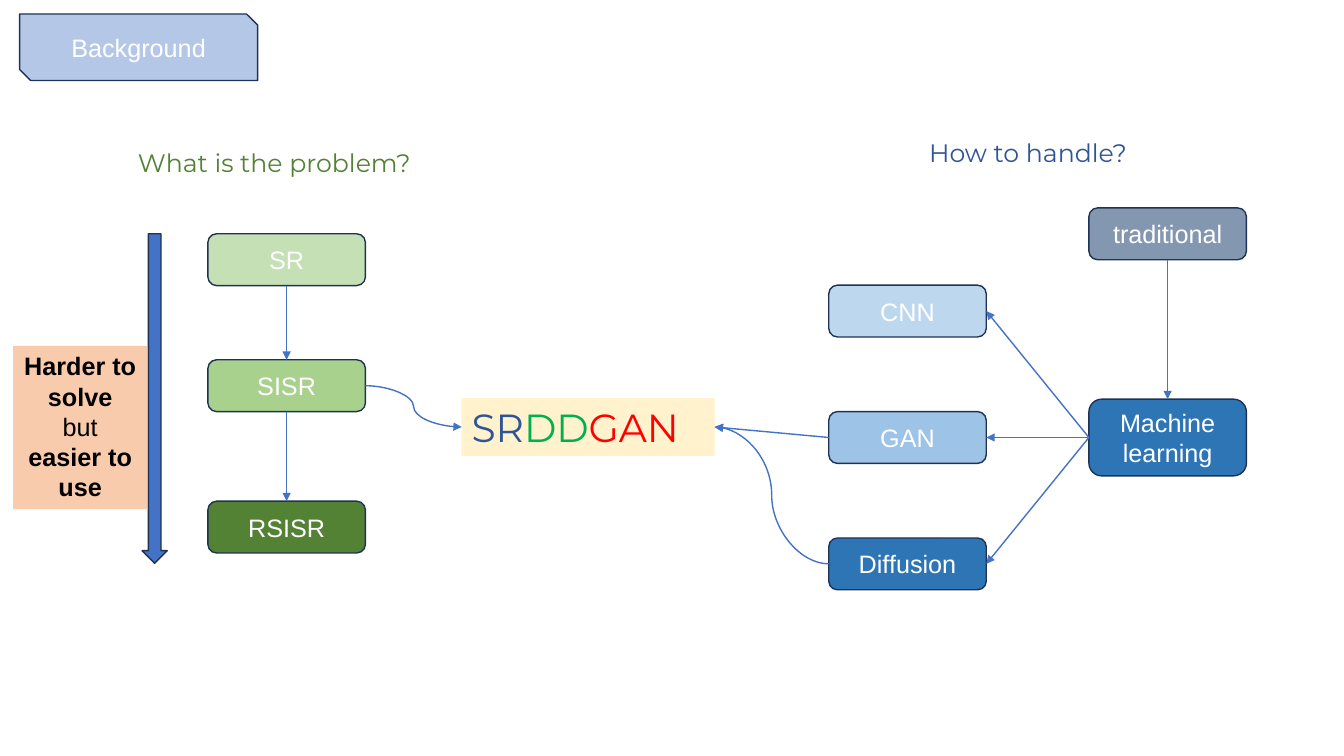
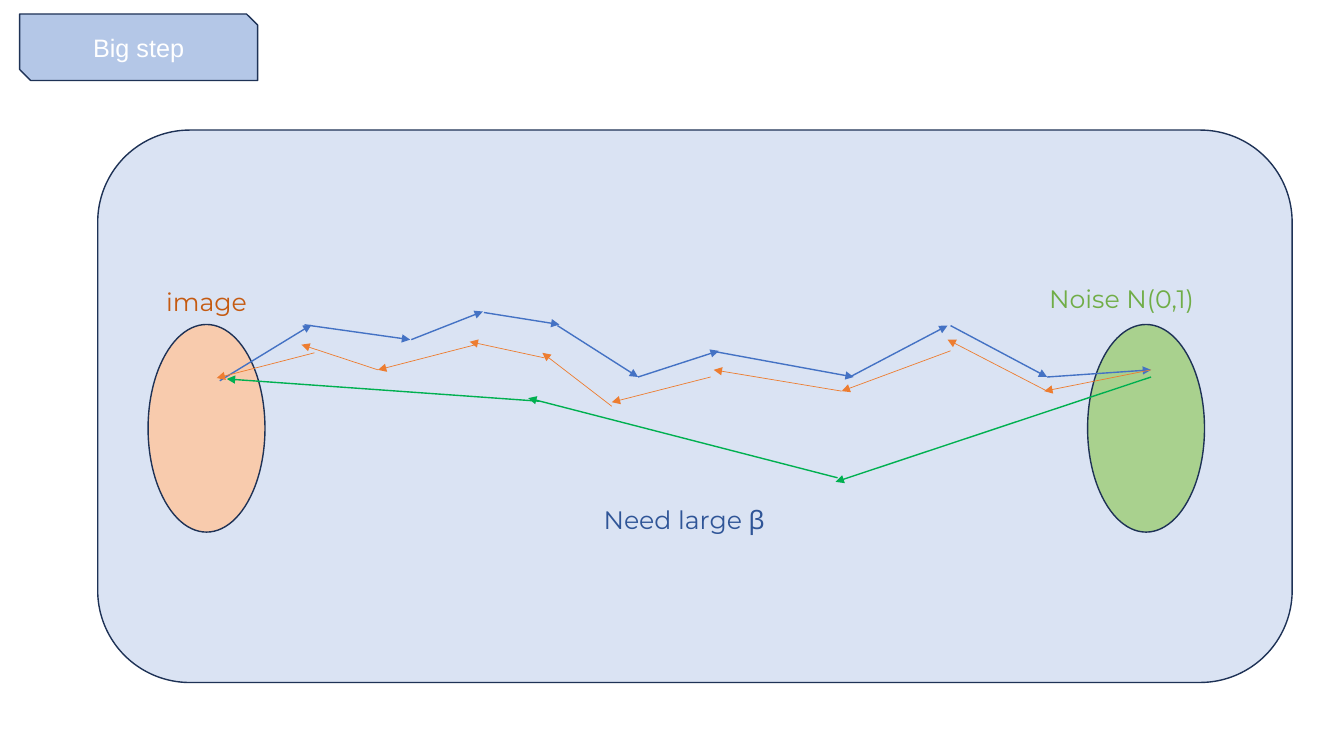
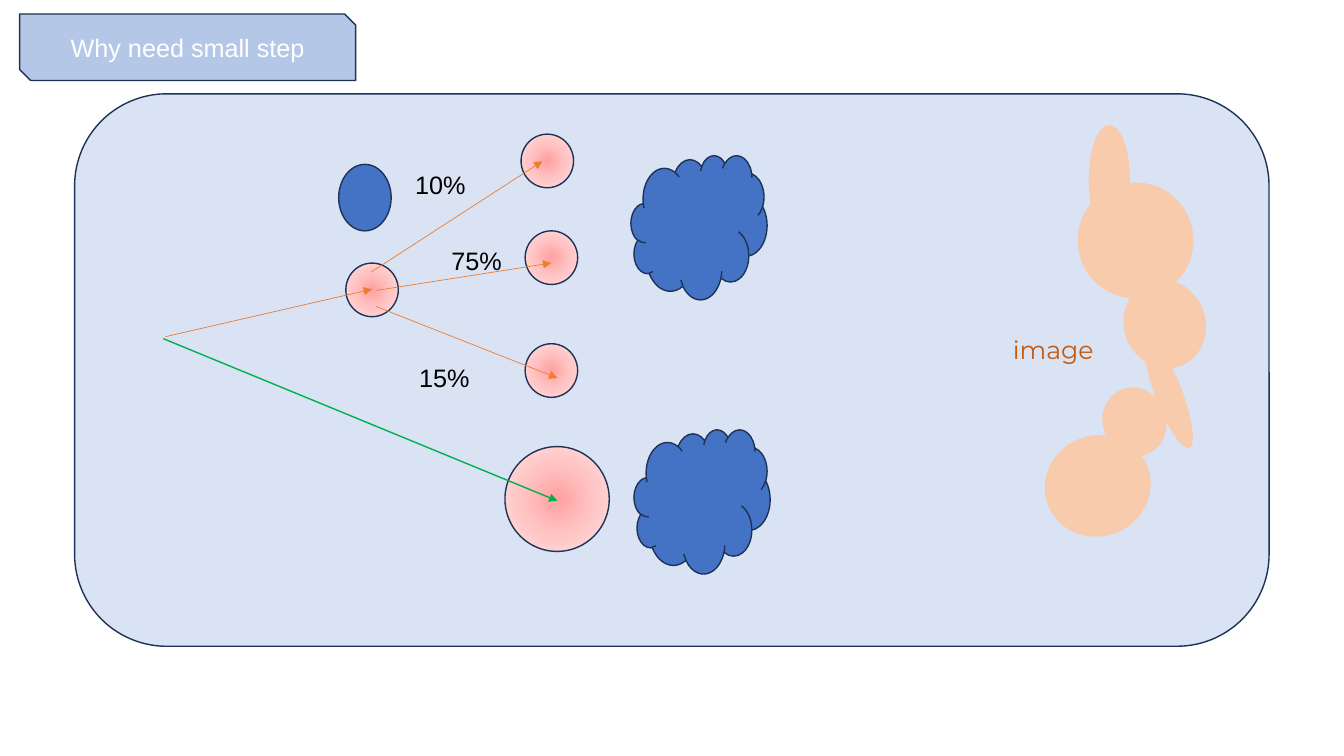
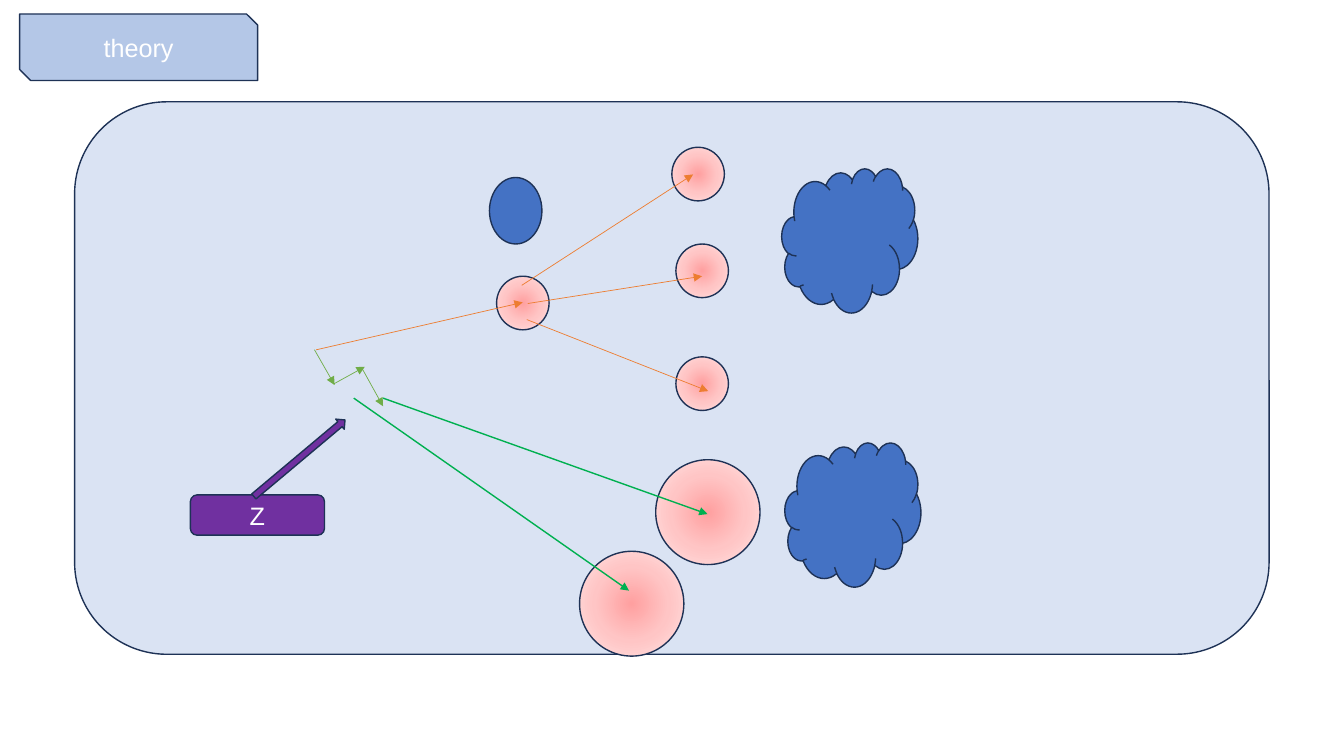
"""Build a four-slide deck on diffusion steps for super-resolution."""
from dataclasses import dataclass

from lxml import etree
from pptx import Presentation
from pptx import util as u
from pptx.dml import color
from pptx.enum import shapes, text
from pptx.oxml import ns

KIND = shapes.MSO_SHAPE
ALIGN = text.PP_ALIGN
ANCHOR = text.MSO_ANCHOR
TOP, LEFT, BOTTOM, RIGHT = range(4)


@dataclass(frozen=True)
class Theme:
    outline: str = "1E3256"
    tag: str = "B4C7E7"
    panel: str = "DAE3F3"
    white: str = "FFFFFF"
    black: str = "000000"
    blue: str = "4472C4"
    navy: str = "2F5597"
    steel: str = "2E75B6"
    sky: str = "9DC3E6"
    ice: str = "BDD7EE"
    slate: str = "8497B0"
    peach: str = "F8CBAD"
    cream: str = "FFF2CC"
    orange: str = "ED7D31"
    rust: str = "C55A11"
    mint: str = "C5E0B4"
    leaf: str = "A9D18E"
    grass: str = "70AD47"
    forest: str = "548235"
    emerald: str = "00B050"
    red: str = "FF0000"
    purple: str = "7030A0"
    glow: tuple = ((0, "FFA0A0"), (50, "FFC5C5"), (100, "FFE3E3"))
    body_font: str = "Arial"
    label_font: str = "Montserrat"
    body_size: float = 18
    name_size: float = 28
    thin: float = 0.5
    normal: float = 1


THEME = Theme()


def rgb(value):
    return color.RGBColor.from_string(value)


def assign(target, values):
    for name, value in values.items():
        setattr(target, name, value)


class Sketch:
    def __init__(self, deck, theme):
        self.deck, self.theme, self.page = deck, theme, None

    def start(self, title, width=170):
        self.page = self.deck.slides.add_slide(self.deck.slide_layouts[5])
        heading = self.page.shapes.title
        area = (14, 10, width, 47.5)
        tag = self.shape(KIND.SNIP_2_DIAG_RECTANGLE, area, self.theme.tag)
        heading._element.addprevious(tag._element)
        names = ("left", "top", "width", "height")
        assign(heading, dict(zip(names, map(u.Pt, area))))
        self.set_text(heading, [[(title, {})]], ANCHOR.MIDDLE, ALIGN.CENTER)

    def set_text(self, box, paragraphs, anchor=ANCHOR.TOP, align=ALIGN.LEFT):
        frame = box.text_frame
        assign(frame, {"word_wrap": True, "auto_size": text.MSO_AUTO_SIZE.NONE,
                       "vertical_anchor": anchor})
        for index, spans in enumerate(paragraphs):
            para = frame.add_paragraph() if index else frame.paragraphs[0]
            para.alignment = align
            for words, changes in spans:
                span = para.add_run()
                span.text = words
                values = {"name": self.theme.body_font, "size": self.theme.body_size,
                          "bold": False, "color": self.theme.white, **changes}
                span.font.color.rgb = rgb(values.pop("color"))
                values["size"] = u.Pt(values["size"])
                assign(span.font, values)

    def shape(self, kind, area, fill, outlined=True, turn=0):
        box = self.page.shapes.add_shape(kind, *map(u.Pt, area))
        box.shadow.inherit = False
        box.rotation = turn
        box.fill.solid()
        box.fill.fore_color.rgb = rgb(fill)
        if outlined:
            box.line.color.rgb = rgb(self.theme.outline)
            box.line.width = u.Pt(self.theme.normal)
        else:
            box.line.fill.background()
        return box

    def node(self, words, area, fill):
        box = self.shape(KIND.ROUNDED_RECTANGLE, area, fill)
        self.set_text(box, [[(words, {})]], ANCHOR.MIDDLE, ALIGN.CENTER)
        return box

    def note(self, area, fill, paragraphs, align=ALIGN.LEFT):
        box = self.shape(KIND.RECTANGLE, area, fill, outlined=False)
        self.set_text(box, paragraphs, align=align)
        return box

    def panel(self, left, top):
        self.shape(KIND.ROUNDED_RECTANGLE, (left, top, 853.2, 394.6), self.theme.panel)

    def label(self, words, left, top, width, ink, font=None):
        box = self.page.shapes.add_textbox(*map(u.Pt, (left, top, width, 29)))
        values = {"color": ink, "name": font or self.theme.label_font}
        self.set_text(box, [[(words, values)]])

    def glow(self, left, top, width, height):
        ball = self.shape(KIND.OVAL, (left, top, width, height), self.theme.white)
        solid = ball._element.spPr.find(ns.qn("a:solidFill"))
        gradient = etree.Element(ns.qn("a:gradFill"), rotWithShape="1")
        stops = etree.SubElement(gradient, ns.qn("a:gsLst"))
        for place, value in self.theme.glow:
            stop = etree.SubElement(stops, ns.qn("a:gs"), pos=str(place * 1000))
            etree.SubElement(stop, ns.qn("a:srgbClr"), val=value)
        shade = etree.SubElement(gradient, ns.qn("a:path"), {"path": "circle"})
        etree.SubElement(shade, ns.qn("a:fillToRect"),
                         dict.fromkeys("ltrb", "50000"))
        solid.getparent().replace(solid, gradient)

    def arrow(self, points, ink, width, kind=shapes.MSO_CONNECTOR.STRAIGHT):
        line = self.page.shapes.add_connector(kind, *map(u.Pt, points))
        line.line.color.rgb = rgb(ink)
        line.line.width = u.Pt(width)
        outline = line._element.spPr.find(ns.qn("a:ln"))
        etree.SubElement(outline, ns.qn("a:tailEnd"), type="triangle")
        etree.SubElement(line._element.spPr, ns.qn("a:effectLst"))
        return line

    def arrows(self, segments, ink, width):
        for points in segments:
            self.arrow(points, ink, width)

    def join(self, first, side, second, other, kind=shapes.MSO_CONNECTOR.STRAIGHT):
        line = self.arrow((0, 0, 0, 0), self.theme.blue, self.theme.normal, kind)
        line.begin_connect(first, side)
        line.end_connect(second, other)


def background(sketch):
    sketch.start("Background")
    size = (112.5, 37)
    problems = [sketch.node(words, (148.5, top, *size), fill) for words, top, fill in (
        ("SR", 167, THEME.mint),
        ("SISR", 257, THEME.leaf),
        ("RSISR", 358, THEME.forest))]
    methods = [sketch.node(words, (592, 203.7 + 90.3 * row, *size), fill)
               for row, (words, fill) in enumerate((
                   ("CNN", THEME.ice), ("GAN", THEME.sky), ("Diffusion", THEME.steel)))]
    traditional = sketch.node("traditional", (777.8, 148.5, *size), THEME.slate)
    learning = sketch.node("Machine learning", (777.8, 285.1, 112.5, 54.8), THEME.steel)
    name = {"name": THEME.label_font, "size": THEME.name_size}
    result = sketch.note((329.8, 284.4, 180.7, 41.2), THEME.cream, [[
        (words, {**name, "color": ink}) for words, ink in (
            ("SR", THEME.navy), ("DD", THEME.emerald), ("GAN", THEME.red))]])

    for upper, lower in (*zip(problems, problems[1:]), (traditional, learning)):
        sketch.join(upper, BOTTOM, lower, TOP)
    for method in methods:
        sketch.join(learning, LEFT, method, RIGHT)
    curve = shapes.MSO_CONNECTOR.CURVE
    sketch.join(problems[1], RIGHT, result, LEFT, curve)
    sketch.join(methods[2], LEFT, result, RIGHT, curve)
    sketch.join(methods[1], LEFT, result, RIGHT)

    sketch.shape(KIND.DOWN_ARROW, (101.5, 167, 18, 235.4), THEME.blue)
    plain = {"color": THEME.black}
    strong = {**plain, "bold": True}
    sketch.note((9.4, 247, 95.8, 116.6), THEME.peach, [
        [("Harder to solve", strong)],
        [("but ", plain), ("easier to use", strong)]], ALIGN.CENTER)
    sketch.label("What is the problem?", 91.4, 101.5, 225.4, THEME.forest)
    sketch.label("How to handle?", 656.6, 94.3, 168.5, THEME.navy)


def big_step(sketch):
    sketch.start("Big step")
    sketch.panel(69.8, 92.9)
    for left, fill in ((105.8, THEME.peach), (776.9, THEME.leaf)):
        sketch.shape(KIND.OVAL, (left, 231.8, 83.5, 148.3), fill)
    sketch.arrows((
        (157, 272, 222.5, 232), (217.5, 232, 293, 242.6),
        (293.8, 242.6, 344.9, 222.5), (345.6, 223.2, 399.6, 231.8),
        (398.2, 232.6, 455.8, 269.3), (455.8, 269.3, 513.4, 250.6),
        (507.6, 250.6, 609.8, 269.3), (607, 269.3, 676.8, 232.6),
        (679, 232.6, 748, 269.3), (748, 269.3, 822.2, 264.2),
    ), THEME.blue, THEME.normal)
    sketch.arrows((
        (822.2, 264.2, 745.9, 279.4), (748, 279.4, 676.8, 242.6),
        (679, 250.6, 601.2, 279.4), (601.2, 279.4, 509.8, 264.2),
        (507.6, 269.3, 437, 287.3), (437, 290.2, 387.4, 252),
        (388.8, 255.6, 335.5, 244.1), (339.8, 246.2, 270, 264.2),
        (270, 264.2, 215.3, 246.2), (224.6, 252, 154.8, 270),
    ), THEME.orange, THEME.thin)
    sketch.arrows((
        (822.2, 269.3, 596.9, 344.2), (598.3, 341.3, 377.3, 284.4),
        (385.2, 286.6, 162, 270.7),
    ), THEME.emerald, THEME.normal)
    sketch.label("Noise N(0,1)", 742.3, 198.7, 140.4, THEME.grass)
    sketch.label("image", 111.6, 200.9, 83.5, THEME.rust)
    sketch.label("Need large β", 424, 356.4, 150.5, THEME.navy)


def branches(sketch, right=0, down=0):
    for left, top in ((375.1, 245.5), (375.1, 164.9), (372.2, 95.8), (247, 187.9)):
        sketch.glow(left + right, top + down, 37.5, 38.3)
    sketch.glow(360.7 + right, 319 + down, 74.5, 74.9)
    sketch.shape(KIND.OVAL, (241.9 + right, 117.4 + down, 37.5, 47.5), THEME.blue)
    for left, top in ((452.9, 306.7), (450.7, 110.9)):
        sketch.shape(KIND.CLOUD, (left + right, top + down, 97.2, 103), THEME.blue)
    sketch.arrows([
        (x1 + right, y1 + down, x2 + right, y2 + down) for x1, y1, x2, y2 in (
            (118.1, 240.5, 265.7, 206.6), (269.3, 207.4, 393.8, 187.9),
            (265, 194.4, 387.4, 115.2), (268.6, 218.9, 398.2, 270))
    ], THEME.orange, THEME.thin)


def small_step(sketch):
    sketch.start("Why need small step", 240)
    sketch.panel(53.3, 67)
    branches(sketch)
    sketch.arrow((116.6, 241.9, 398.2, 357.8), THEME.emerald, THEME.normal)
    for *area, turn in (
            (777.6, 89.3, 29.5, 78.5, 0), (769.7, 130.3, 82.8, 82.8, 69.3),
            (785.5, 278.6, 49.7, 45.4, 69.3), (799.9, 202.3, 64.1, 58.3, 69.3),
            (748.1, 308.9, 72, 76.3, 69.3), (793.4, 271.4, 82.8, 19.4, 69.3)):
        sketch.shape(KIND.OVAL, area, THEME.peach, outlined=False, turn=turn)
    sketch.label("image", 716.4, 235.4, 83.5, THEME.rust)
    for words, left, top in (
            ("10%", 289.4, 117.4), ("15%", 292.3, 254.9), ("75%", 315.4, 171.4)):
        sketch.label(words, left, top, 56, THEME.black, THEME.body_font)


def theory(sketch):
    sketch.start("theory")
    sketch.panel(53.3, 72.7)
    sketch.glow(414, 393.8, 74.5, 74.9)
    branches(sketch, 107.7, 9.4)
    sketch.node("Z", (136, 353.5, 95.8, 28.8), THEME.purple)
    sketch.shape(KIND.RIGHT_ARROW, (171.4, 322.6, 85, 9.4), THEME.purple, turn=320)
    sketch.arrows((
        (224.6, 249.8, 239, 275), (238.3, 274.3, 260.6, 262),
        (259.2, 264.2, 273.6, 290.2),
    ), THEME.grass, THEME.thin)
    sketch.arrows((
        (273.6, 284.4, 505.4, 367.2), (252.7, 284.4, 449.3, 421.9),
    ), THEME.emerald, THEME.normal)


def main():
    deck = Presentation()
    assign(deck, {"slide_width": u.Pt(960), "slide_height": u.Pt(540)})
    sketch = Sketch(deck, THEME)
    for build in (background, big_step, small_step, theory):
        build(sketch)
    deck.save("out.pptx")


if __name__ == "__main__":
    main()
